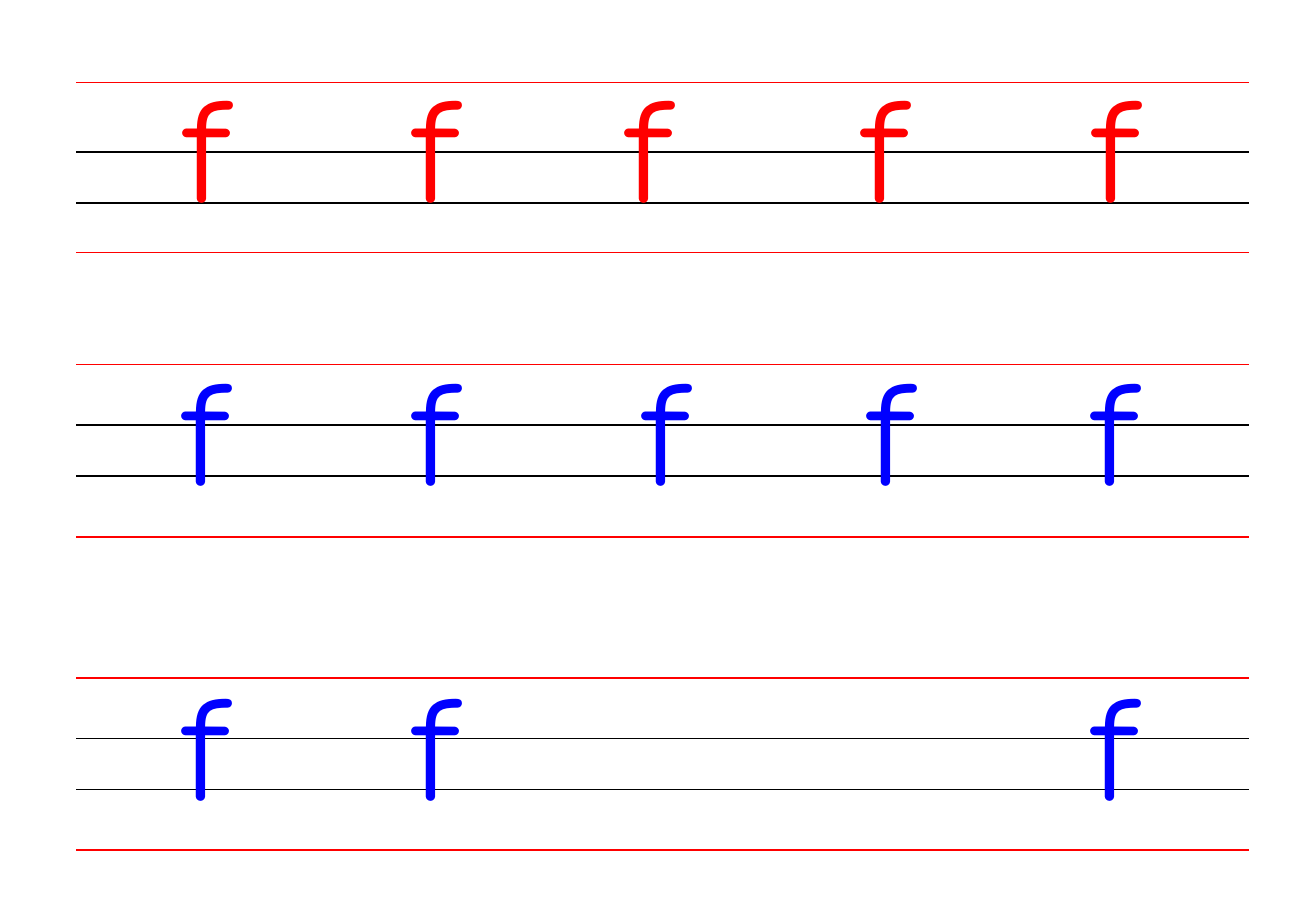
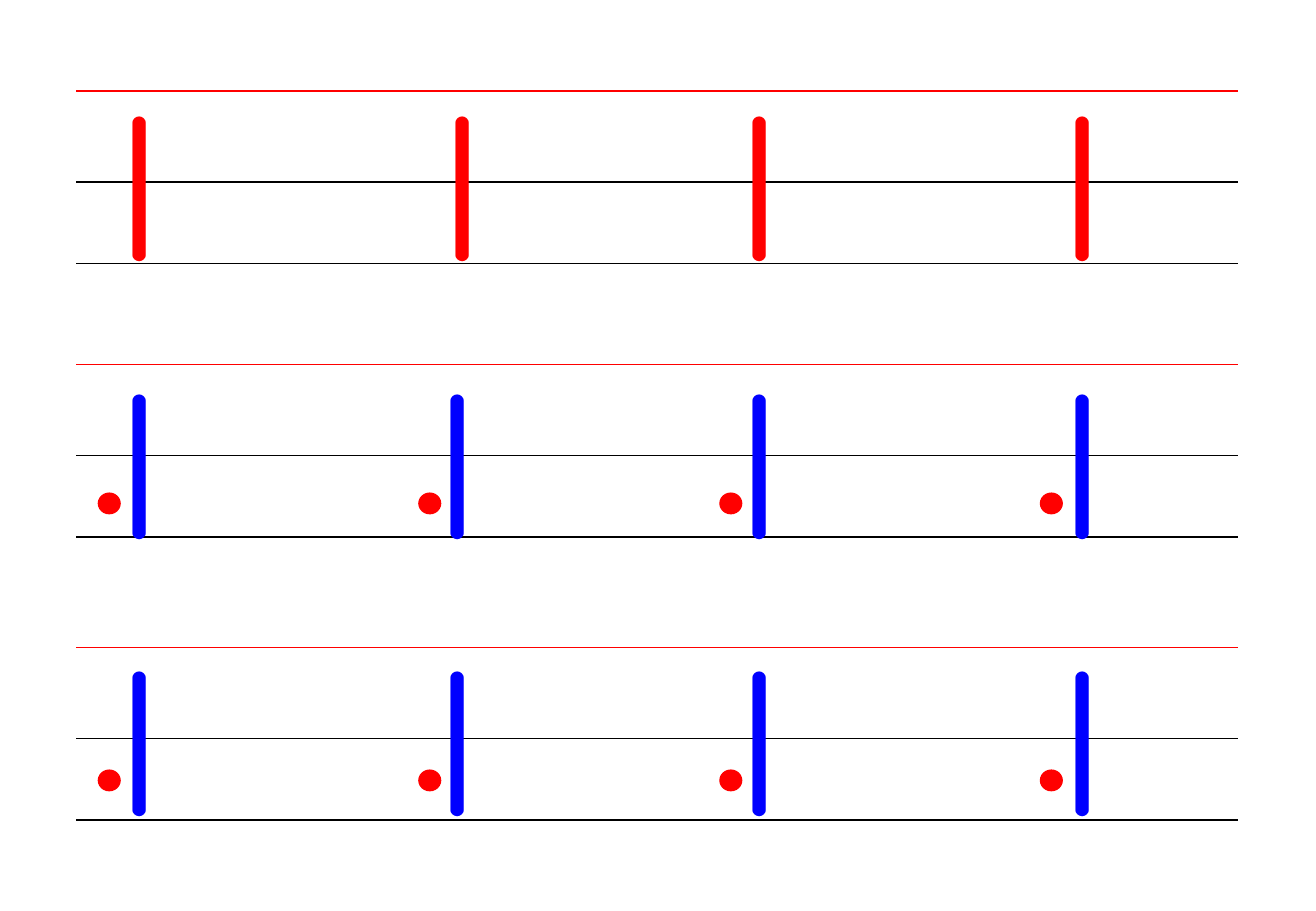
from dataclasses import dataclass

from lxml.etree import SubElement
from pptx import Presentation
from pptx.dml.color import RGBColor
from pptx.enum.shapes import MSO_CONNECTOR as Connector, MSO_SHAPE as Shape
from pptx.enum.text import MSO_AUTO_SIZE as AutoSize
from pptx.oxml.ns import qn
from pptx.util import Inches, Pt


@dataclass(frozen=True)
class Theme:
    red: RGBColor = RGBColor(0xFF, 0x00, 0x00)
    blue: RGBColor = RGBColor(0x00, 0x00, 0xFF)
    black: RGBColor = RGBColor(0x00, 0x00, 0x00)
    font: str = "Comic Neue"
    rule_weight: float = 1
    dot_weight: float = 0.75


@dataclass(frozen=True)
class LetterStyle:
    """One practice letter with its type size and box sizes."""
    text: str
    size: float
    width: float
    wide: float
    height: float


THEME = Theme()
LETTER_F = LetterStyle("f", 88, 0.54, 0.72, 1.57)
LETTER_L = LetterStyle("l", 125, 0.58, 0.94, 2.19)
RULE_LEFT = 0.63
DOT_WIDTH, DOT_HEIGHT = 0.18, 0.17


class Worksheet:
    """Draws handwriting practice on the current slide."""

    def __init__(self, presentation, theme):
        self.presentation = presentation
        self.theme = theme
        self.slide = None

    def new_slide(self):
        blank_layout = self.presentation.slide_layouts[6]
        self.slide = self.presentation.slides.add_slide(blank_layout)

    def rule(self, right, top, color):
        line = self.slide.shapes.add_connector(
            Connector.STRAIGHT, Inches(RULE_LEFT), Inches(top),
            Inches(right), Inches(top))
        line.line.color.rgb = color
        line.line.width = Pt(self.theme.rule_weight)
        SubElement(line.element.spPr, qn("a:effectLst"))

    def staff(self, right, tops):
        """Red first and fourth rules, black rules between them."""
        for index, top in enumerate(tops):
            color = self.theme.red if index % 3 == 0 else self.theme.black
            self.rule(right, top, color)

    def letter(self, style, left, top, color, is_wide=False):
        width = style.wide if is_wide else style.width
        box = self.slide.shapes.add_textbox(
            Inches(left), Inches(top), Inches(width), Inches(style.height))
        frame = box.text_frame
        frame.word_wrap = is_wide
        frame.auto_size = AutoSize.SHAPE_TO_FIT_TEXT
        frame.text = style.text
        font = frame.paragraphs[0].runs[0].font
        font.name = self.theme.font
        font.size = Pt(style.size)
        font.color.rgb = color

    def letter_row(self, style, lefts, top, color, wide_column=None):
        for column, left in enumerate(lefts):
            self.letter(style, left, top, color, column == wide_column)

    def dot(self, left, top):
        dot = self.slide.shapes.add_shape(
            Shape.OVAL, Inches(left), Inches(top),
            Inches(DOT_WIDTH), Inches(DOT_HEIGHT))
        dot.shadow.inherit = False
        dot.fill.solid()
        dot.fill.fore_color.rgb = self.theme.red
        dot.line.color.rgb = self.theme.red
        dot.line.width = Pt(self.theme.dot_weight)


def add_f_slide(sheet):
    sheet.new_slide()
    # Staff rules, letter positions, letter top, colour, wide box
    rows = [
        ((0.68, 1.25, 1.67, 2.08), (1.42, 3.31, 5.06, 7.01, 8.91), 0.4,
         THEME.red, 2),
        ((3, 3.5, 3.92, 4.42), (1.41, 3.31, 5.2, 7.06, 8.9), 2.73,
         THEME.blue, None),
        ((5.58, 6.08, 6.5, 7), (1.41, 3.31, 8.9), 5.32,
         THEME.blue, None),
    ]
    for rules, lefts, top, color, wide_column in rows:
        sheet.staff(10.29, rules)
        sheet.letter_row(LETTER_F, lefts, top, color, wide_column)


def add_l_slide(sheet):
    sheet.new_slide()
    # Staff top, second letter position, letter top, colour, dot top
    rows = [
        (0.75, 3.52, 0.36, THEME.red, None),
        (3, 3.48, 2.65, THEME.blue, 4.06),
        (5.33, 3.48, 4.93, THEME.blue, 6.34),
    ]
    for staff_top, second_left, top, color, dot_top in rows:
        sheet.staff(10.2, [staff_top + step for step in (0, 0.75, 1.42)])
        lefts = (0.86, second_left, 5.97, 8.63)
        sheet.letter_row(LETTER_L, lefts, top, color, wide_column=1)
        # Starting dots beside the letters
        if dot_top is not None:
            for dot_left in (0.81, 3.45, 5.93, 8.57):
                sheet.dot(dot_left, dot_top)


def main():
    presentation = Presentation()
    presentation.slide_width = Inches(10.84)
    presentation.slide_height = Inches(7.5)
    sheet = Worksheet(presentation, THEME)
    add_f_slide(sheet)
    add_l_slide(sheet)
    presentation.save("out.pptx")


if __name__ == "__main__":
    main()
